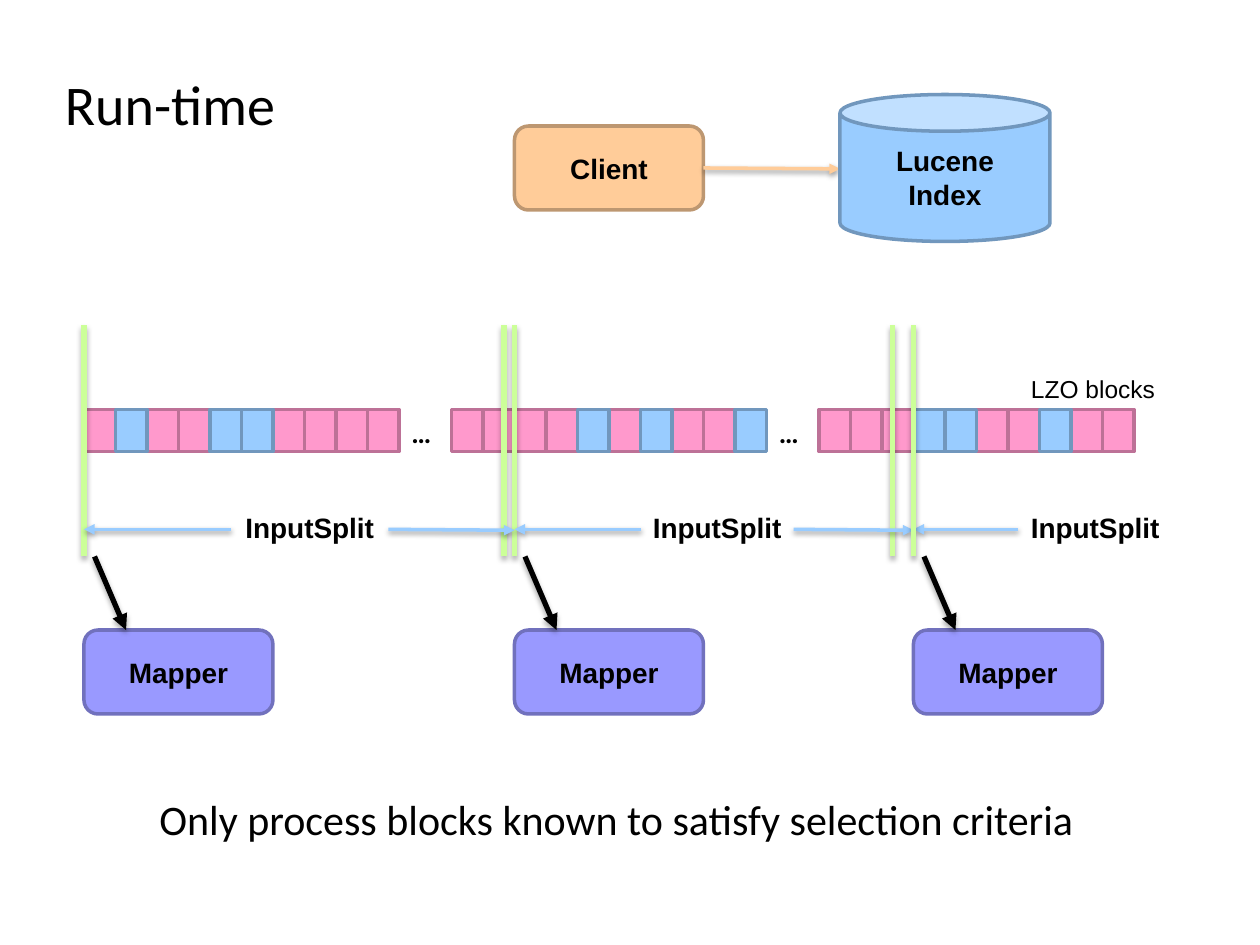
from dataclasses import dataclass
from typing import Optional

from lxml.etree import SubElement
from pptx import Presentation
from pptx.dml.color import RGBColor
from pptx.enum.shapes import MSO_CONNECTOR, MSO_SHAPE
from pptx.enum.text import MSO_ANCHOR, MSO_AUTO_SIZE, PP_ALIGN
from pptx.oxml.ns import qn
from pptx.util import Pt


@dataclass(frozen=True)
class Paint:
    fill: str
    border: str


@dataclass(frozen=True)
class Theme:
    skipped: Paint = Paint("FF99CC", "BD7197")
    selected: Paint = Paint("99CCFF", "7197BD")
    mapper: Paint = Paint("9999FF", "7171BD")
    client: Paint = Paint("FFCC99", "BD9771")
    boundary: str = "CCFF99"
    ink: str = "000000"
    label_font: str = "Arial"
    text_font: str = "Calibri"
    title_size: float = 32
    message_size: float = 24
    label_size: float = 16
    note_size: float = 14
    thin: float = 2
    thick: float = 3


@dataclass(frozen=True)
class Box:
    left: float
    top: float
    width: float
    height: float

    def lengths(self) -> tuple:
        return Pt(self.left), Pt(self.top), Pt(self.width), Pt(self.height)


@dataclass(frozen=True)
class Split:
    """One InputSplit: its start, its label and the reach of its arrows."""
    start: float
    label_left: float
    left_arrow_from: float
    right_arrow_from: Optional[float] = None
    end: Optional[float] = None


THEME = Theme()
BLOCK_WIDTH, BLOCK_HEIGHT, BLOCK_TOP = 18, 24, 234
# S marks a selected block, a dot a skipped one
BLOCK_RUNS = {48: ".S..SS....", 258: "....S.S..S", 468: "...SS..S.."}
BOUNDARY_TOP, BOUNDARY_BOTTOM = 186, 318
ARROW_Y = 302.5
MAPPER_TOP = 360
SPLITS = (
    Split(48, 133.2, 132, 222, 294),
    Split(294, 366, 366.5, 453.5, 522),
    Split(522, 582, 582),
)


def add_span(para, text: str, size: float, font: str, bold: bool) -> None:
    span = para.add_run()
    span.text = text
    span.font.size = Pt(size)
    span.font.name = font
    span.font.bold = bold
    span.font.color.rgb = RGBColor.from_string(THEME.ink)


def add_text(page, box: Box, text: str, size: float, font: str,
             bold: bool = False) -> None:
    frame = page.shapes.add_textbox(*box.lengths()).text_frame
    frame.word_wrap = False
    frame.auto_size = MSO_AUTO_SIZE.SHAPE_TO_FIT_TEXT
    add_span(frame.paragraphs[0], text, size, font, bold)


def add_node(page, kind: MSO_SHAPE, box: Box, paint: Paint, *lines: str) -> None:
    """Draw a filled, outlined shape with one centred paragraph per line."""
    node = page.shapes.add_shape(kind, *box.lengths())
    node.shadow.inherit = False
    node.fill.solid()
    node.fill.fore_color.rgb = RGBColor.from_string(paint.fill)
    node.line.color.rgb = RGBColor.from_string(paint.border)
    node.line.width = Pt(THEME.thin)
    frame = node.text_frame
    frame.vertical_anchor = MSO_ANCHOR.MIDDLE
    for index, text in enumerate(lines):
        para = frame.add_paragraph() if index else frame.paragraphs[0]
        para.alignment = PP_ALIGN.CENTER
        add_span(para, text, THEME.label_size, THEME.label_font, True)


def add_line(page, start: tuple, end: tuple, color: str, width: float,
             arrow: bool = True) -> None:
    """Draw a straight line with a soft shadow below it."""
    line = page.shapes.add_connector(
        MSO_CONNECTOR.STRAIGHT, *(Pt(value) for value in start + end))
    line.line.color.rgb = RGBColor.from_string(color)
    line.line.width = Pt(width)
    properties = line._element.spPr
    if arrow:
        SubElement(properties.find(qn("a:ln")), qn("a:tailEnd"), type="triangle")
    thick = width == THEME.thick
    effects = SubElement(properties, qn("a:effectLst"))
    shadow = SubElement(
        effects, qn("a:outerShdw"), blurRad=str(Pt(3.1)),
        dist=str(Pt(1.8 if thick else 1.6)), dir="5400000", rotWithShape="0")
    shade = SubElement(shadow, qn("a:srgbClr"), val=THEME.ink)
    SubElement(shade, qn("a:alpha"), val="35000" if thick else "38000")


def add_blocks(page, mark: str, paint: Paint) -> None:
    """Draw every block that carries the given mark."""
    for left, marks in BLOCK_RUNS.items():
        for index, found in enumerate(marks):
            if found == mark:
                box = Box(left + index * BLOCK_WIDTH, BLOCK_TOP,
                          BLOCK_WIDTH, BLOCK_HEIGHT)
                add_node(page, MSO_SHAPE.RECTANGLE, box, paint)


def add_boundary(page, x: float) -> None:
    add_line(page, (x, BOUNDARY_TOP), (x, BOUNDARY_BOTTOM),
             THEME.boundary, THEME.thick, arrow=False)


def add_split(page, split: Split) -> None:
    """Draw the label of a split, its arrows and its mapper."""
    color = THEME.selected.fill
    add_line(page, (split.left_arrow_from, ARROW_Y), (split.start, ARROW_Y),
             color, THEME.thin)
    if split.end is not None:
        add_line(page, (split.right_arrow_from, ARROW_Y), (split.end, ARROW_Y + 0.5),
                 color, THEME.thin)
    add_text(page, Box(split.label_left, 288, 89.3, 26.6), "InputSplit",
             THEME.label_size, THEME.label_font, bold=True)
    add_node(page, MSO_SHAPE.ROUNDED_RECTANGLE,
             Box(split.start, MAPPER_TOP, 108, 48), THEME.mapper, "Mapper")
    add_line(page, (split.start + 6, BOUNDARY_BOTTOM),
             (split.start + 24, MAPPER_TOP), THEME.ink, THEME.thick)


def add_lookup(page) -> None:
    """Draw the client that asks the index."""
    add_node(page, MSO_SHAPE.ROUNDED_RECTANGLE, Box(294, 72, 108, 48),
             THEME.client, "Client")
    add_line(page, (402, 96), (480, 96.5), THEME.client.fill, THEME.thin)
    add_node(page, MSO_SHAPE.CAN, Box(480, 54, 120, 84), THEME.selected,
             "Lucene", "Index")


def main() -> None:
    deck = Presentation()
    deck.slide_width, deck.slide_height = Pt(720), Pt(540)
    page = deck.slides.add_slide(deck.slide_layouts[6])

    add_text(page, Box(30, 36, 135.4, 46), "Run-time",
             THEME.title_size, THEME.text_font)
    add_lookup(page)
    add_blocks(page, ".", THEME.skipped)
    add_blocks(page, "S", THEME.selected)
    for left in (228, 438):
        add_text(page, Box(left, BLOCK_TOP, 31, 26.6), "…",
                 THEME.label_size, THEME.text_font, bold=True)
    add_text(page, Box(582, 210, 85.7, 24.2), "LZO blocks",
             THEME.note_size, THEME.label_font)
    for x in (48, 288, 510, 294):
        add_boundary(page, x)
    for split in SPLITS:
        add_split(page, split)
    add_boundary(page, SPLITS[-1].start)
    add_text(page, Box(84, 450, 551.5, 36),
             "Only process blocks known to satisfy selection criteria",
             THEME.message_size, THEME.text_font)
    deck.save("out.pptx")


if __name__ == "__main__":
    main()
